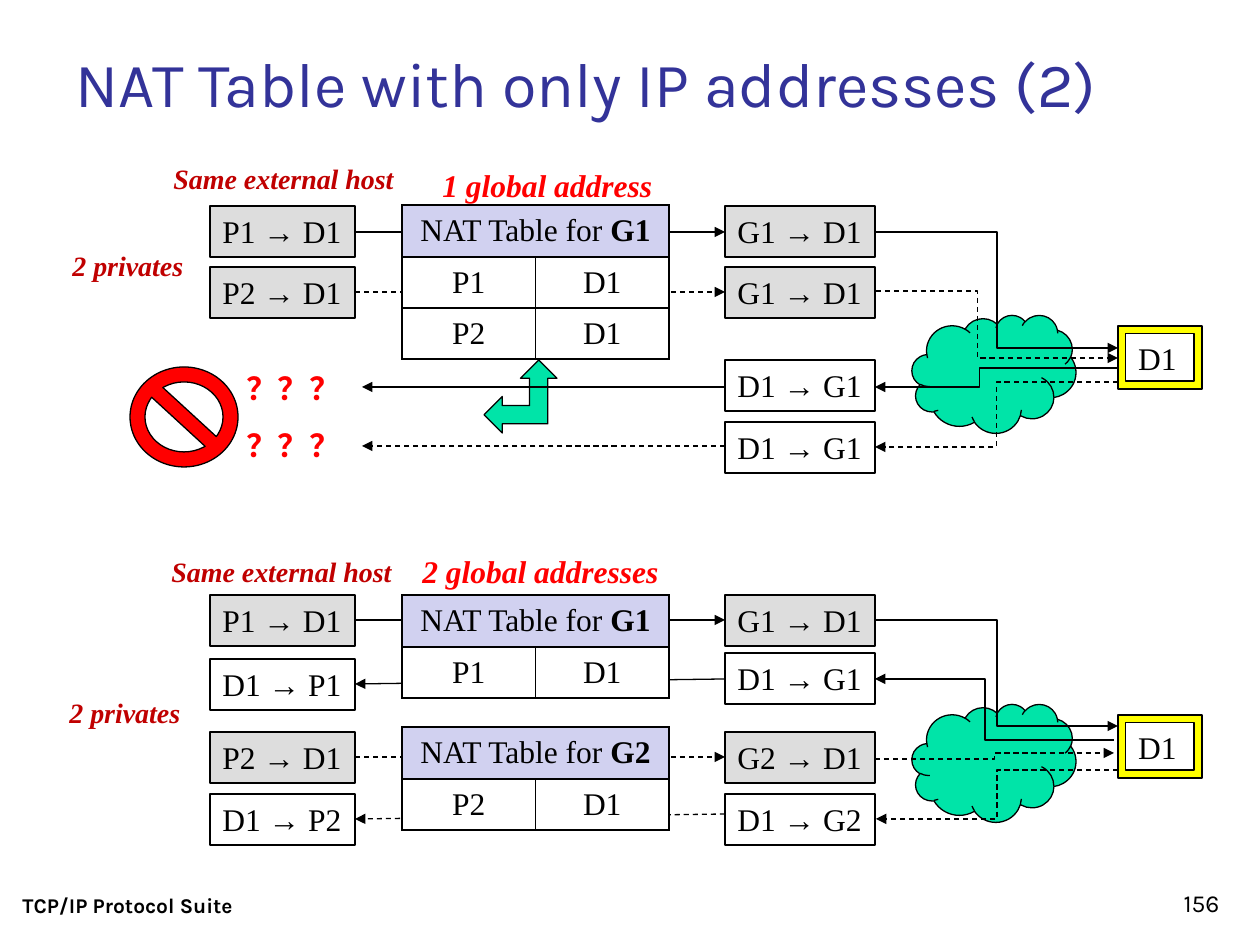
from lxml.etree import SubElement
from pptx import Presentation
from pptx.dml.color import RGBColor
from pptx.enum.dml import MSO_LINE
from pptx.enum.shapes import MSO_CONNECTOR as CONN, MSO_SHAPE as SHAPE
from pptx.enum.text import MSO_ANCHOR as ANCHOR, MSO_AUTO_SIZE as AUTO, PP_ALIGN as ALIGN
from pptx.oxml import parse_xml
from pptx.oxml.ns import nsdecls, qn
from pptx.util import Emu, Pt

BLACK = RGBColor(0, 0, 0)
WHITE = RGBColor(0xFF, 0xFF, 0xFF)
GREY = RGBColor(0xDD, 0xDD, 0xDD)
LILAC = RGBColor(0xD1, 0xD1, 0xF0)
GREEN = RGBColor(0x00, 0xE4, 0xA8)
YELLOW = RGBColor(0xFF, 0xFF, 0x00)
RED = RGBColor(0xFF, 0, 0)
DARK_RED = RGBColor(0xC0, 0, 0)
INDIGO = RGBColor(0x33, 0x33, 0x99)

SANS, SERIF = "Karla", "Times New Roman"
PACKET_LEFT, PACKET_RIGHT = 160, 675
PACKET_H = 51
TABLE_LEFT, TABLE_W = 352, 267
HEADER_H, ROW_H = 52, 51


def px(n):
    return Emu(round(n * 914400 / 126))


def add_run(p, text, size=18, color=BLACK, font=SERIF, bold=False, italic=False):
    r = p.add_run()
    r.text = text
    f = r.font
    f.name, f.size, f.bold, f.italic = font, Pt(size), bold, italic
    f.color.rgb = color


def set_text(tf, text, align=ALIGN.LEFT, anchor=ANCHOR.TOP, wrap=False, **fmt):
    tf.word_wrap = wrap
    tf.auto_size = AUTO.NONE
    tf.vertical_anchor = anchor
    p = tf.paragraphs[0]
    p.alignment = align
    add_run(p, text, **fmt)


def add_text(s, x, y, w, h, text, **fmt):
    tb = s.shapes.add_textbox(px(x), px(y), px(w), px(h))
    set_text(tb.text_frame, text, **fmt)


def add_block(s, kind, x, y, w, h, fill=None):
    sp = s.shapes.add_shape(kind, px(x), px(y), px(w), px(h))
    sp.shadow.inherit = False
    if fill is None:
        sp.fill.background()
    else:
        sp.fill.solid()
        sp.fill.fore_color.rgb = fill
    sp.line.color.rgb = BLACK
    sp.line.width = Pt(0.75)
    return sp


def add_arrow(s, x1, y1, x2, y2, dashed=False, bend=None):
    kind = CONN.STRAIGHT if bend is None else CONN.ELBOW
    c = s.shapes.add_connector(kind, px(x1), px(y1), px(x2), px(y2))
    c.line.color.rgb = BLACK
    c.line.width = Pt(0.75)
    if dashed:
        c.line.dash_style = MSO_LINE.DASH
    sp_pr = c._element.spPr
    SubElement(sp_pr.find(qn("a:ln")), qn("a:tailEnd"), type="triangle")
    SubElement(sp_pr, qn("a:effectLst"))
    if bend is not None:
        guides = sp_pr.find(qn("a:prstGeom")).get_or_add_avLst()
        SubElement(guides, qn("a:gd"), name="adj1", fmla=f"val {round(bend * 100000)}")


def add_packet(s, x, y, text):
    sender = text[0]
    w = 145 if x == PACKET_LEFT else 150
    return w, sender


def packet(s, left, top, x, y, text):
    w = 145 if x == PACKET_LEFT else 150
    fill = None if text.startswith("D") else GREY
    sp = add_block(s, SHAPE.RECTANGLE, left + x, top + y, w, PACKET_H, fill)
    set_text(sp.text_frame, text)


def style_cell(cell, fill):
    tc_pr = cell._tc.get_or_add_tcPr()
    for side in ("lnL", "lnR", "lnT", "lnB"):
        tc_pr.append(parse_xml(
            f'<a:{side} {nsdecls("a")} w="9525"><a:solidFill>'
            f'<a:srgbClr val="{BLACK}"/></a:solidFill></a:{side}>'))
    cell.fill.solid()
    cell.fill.fore_color.rgb = fill
    cell.vertical_anchor = ANCHOR.MIDDLE
    cell.text_frame.paragraphs[0].alignment = ALIGN.CENTER


def nat_table(s, x, y, address, rows):
    height = HEADER_H + ROW_H * len(rows)
    table = s.shapes.add_table(len(rows) + 1, 2, px(x), px(y), px(TABLE_W), px(height)).table
    table.first_row = table.horz_banding = False
    for col in table.columns:
        col.width = px(TABLE_W / 2)
    for i, row in enumerate(table.rows):
        row.height = px(ROW_H if i else HEADER_H)
        for cell in row.cells:
            style_cell(cell, WHITE if i else LILAC)
    table.cell(0, 0).merge(table.cell(0, 1))
    header = table.cell(0, 0).text_frame.paragraphs[0]
    add_run(header, "NAT Table for ")
    add_run(header, address, bold=True)
    for i, row in enumerate(rows, 1):
        for j, text in enumerate(row):
            add_run(table.cell(i, j).text_frame.paragraphs[0], text)


def scenario(s, left, top, labels, packets, tables, links, routes):
    for x1, y1, x2, y2, dashed in links:
        add_arrow(s, left + x1, top + y1, left + x2, top + y2, dashed)
    for x, y, text in packets:
        packet(s, left, top, x, y, text)
    add_block(s, SHAPE.CLOUD, left + 862, top + 109, 164, 118, GREEN)
    host = add_block(s, SHAPE.FRAME, left + 1068, top + 120, 84, 63, YELLOW)
    set_text(host.text_frame, "D1", anchor=ANCHOR.MIDDLE)
    for x1, y1, x2, y2, dashed, bend in routes:
        add_arrow(s, left + x1, top + y1, left + x2, top + y2, dashed, bend)
    for y, address, rows in tables:
        nat_table(s, left + TABLE_LEFT, top + y, address, rows)
    for x, y, w, text, size, color in labels:
        add_text(s, left + x, top + y, w, 48, text, size=size, color=color,
                 bold=True, italic=True)


def blocked_replies(s, left, top):
    add_block(s, SHAPE.LEFT_UP_ARROW, left + 354, top, 73, 73, GREEN)
    for y, text_y, dashed in ((27, 3, False), (86, 60, True)):
        add_arrow(s, left + 595, top + y, left + 232, top + y, dashed)
        add_text(s, left + 104, top + text_y, 121, 50, "？？？", color=RED, bold=True)
    sign = add_block(s, SHAPE.NO_SYMBOL, left, top + 7, 108, 100, RED)
    sign.adjustments[0] = 0.15


def title_and_footer(s, left, top, w, h):
    title = s.shapes.title
    title.left, title.top, title.width, title.height = px(left + 63), px(top + 38), px(w - 126), px(88)
    set_text(title.text_frame, "NAT Table with only IP addresses (2)",
             wrap=True, size=36, color=INDIGO, font=SANS)
    add_text(s, left + 10, top + h - 84, 400, 63, "TCP/IP Protocol Suite",
             anchor=ANCHOR.BOTTOM, size=12, font=SANS, bold=True)
    add_text(s, left + 970, top + h - 84, 262, 63, "156", align=ALIGN.RIGHT,
             anchor=ANCHOR.BOTTOM, size=14, font=SANS)


def main():
    prs = Presentation()
    prs.slide_width, prs.slide_height = px(1260), px(945)
    s = prs.slides.add_slide(prs.slide_layouts[5])
    title_and_footer(s, 0, 0, 1260, 945)
    scenario(
        s, 50, 206,
        labels=[(111, -51, 249, "Same external host", 16, DARK_RED),
                (380, -46, 237, "1 global address", 18, RED),
                (10, 36, 139, "2 privates", 16, DARK_RED)],
        packets=[(PACKET_LEFT, 0, "P1 → D1"), (PACKET_LEFT, 61, "P2 → D1"),
                 (PACKET_RIGHT, 0, "G1 → D1"), (PACKET_RIGHT, 61, "G1 → D1"),
                 (PACKET_RIGHT, 154, "D1 → G1"), (PACKET_RIGHT, 216, "D1 → G1")],
        tables=[(-1, "G1", [("P1", "D1"), ("P2", "D1")])],
        links=[(305, 26, 675, 26, False), (305, 86, 675, 86, True)],
        routes=[(826, 26, 1068, 142, False, 0.5), (826, 85, 1068, 152, True, 0.42),
                (1068, 162, 825, 181, False, 0.57), (1068, 176, 825, 241, True, 0.5)])
    blocked_replies(s, 130, 360)
    scenario(
        s, 50, 595,
        labels=[(109, -47, 249, "Same external host", 16, DARK_RED),
                (360, -49, 263, "2 global addresses", 18, RED),
                (7, 94, 139, "2 privates", 16, DARK_RED)],
        packets=[(PACKET_LEFT, 0, "P1 → D1"), (PACKET_LEFT, 64, "D1 → P1"),
                 (PACKET_LEFT, 137, "P2 → D1"), (PACKET_LEFT, 199, "D1 → P2"),
                 (PACKET_RIGHT, 0, "G1 → D1"), (PACKET_RIGHT, 58, "D1 → G1"),
                 (PACKET_RIGHT, 137, "G2 → D1"), (PACKET_RIGHT, 199, "D1 → G2")],
        tables=[(0, "G1", [("P1", "D1")]), (132, "G2", [("P2", "D1")])],
        links=[(305, 25, 675, 25, False), (675, 84, 305, 89, False),
               (305, 162, 675, 162, True), (675, 219, 305, 224, True)],
        routes=[(826, 25, 1068, 131, False, 0.5), (1064, 145, 825, 84, False, 0.54),
                (825, 164, 1064, 158, True, 0.5), (1068, 175, 826, 224, True, 0.5)])
    prs.save("out.pptx")


if __name__ == "__main__":
    main()
